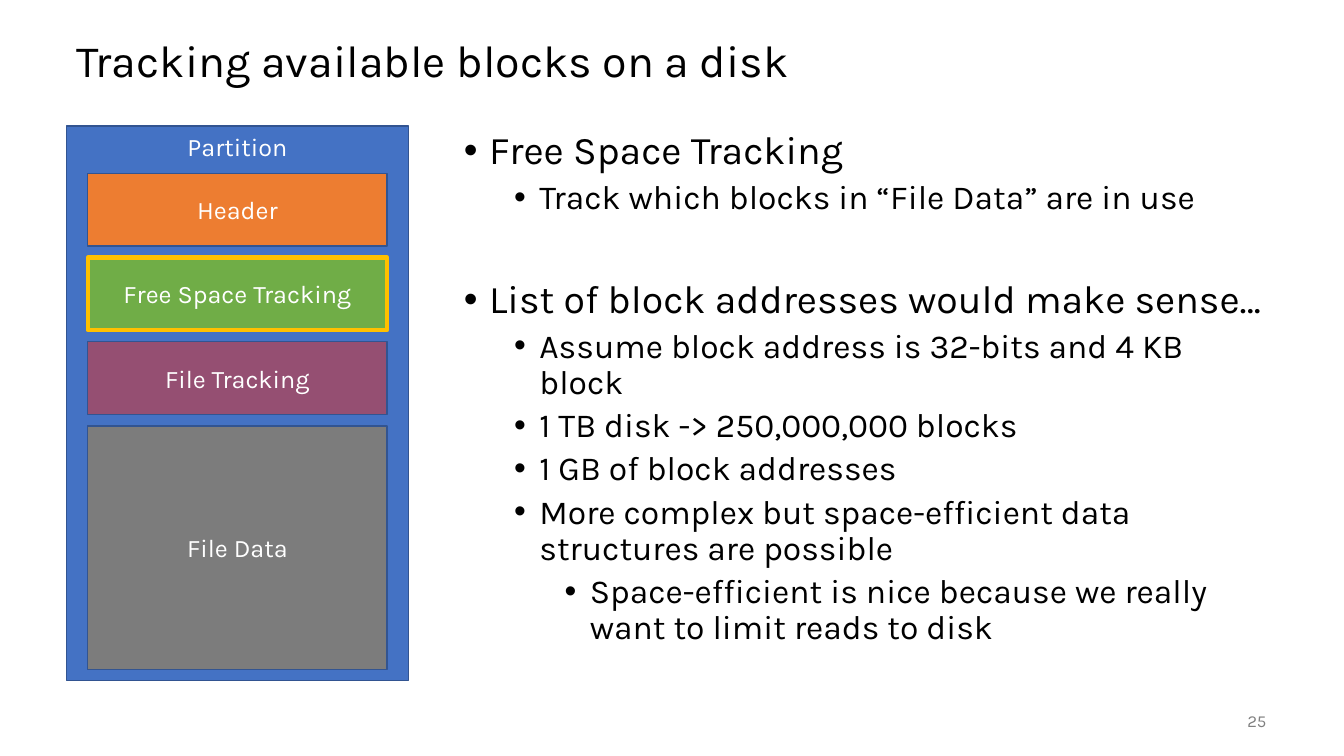
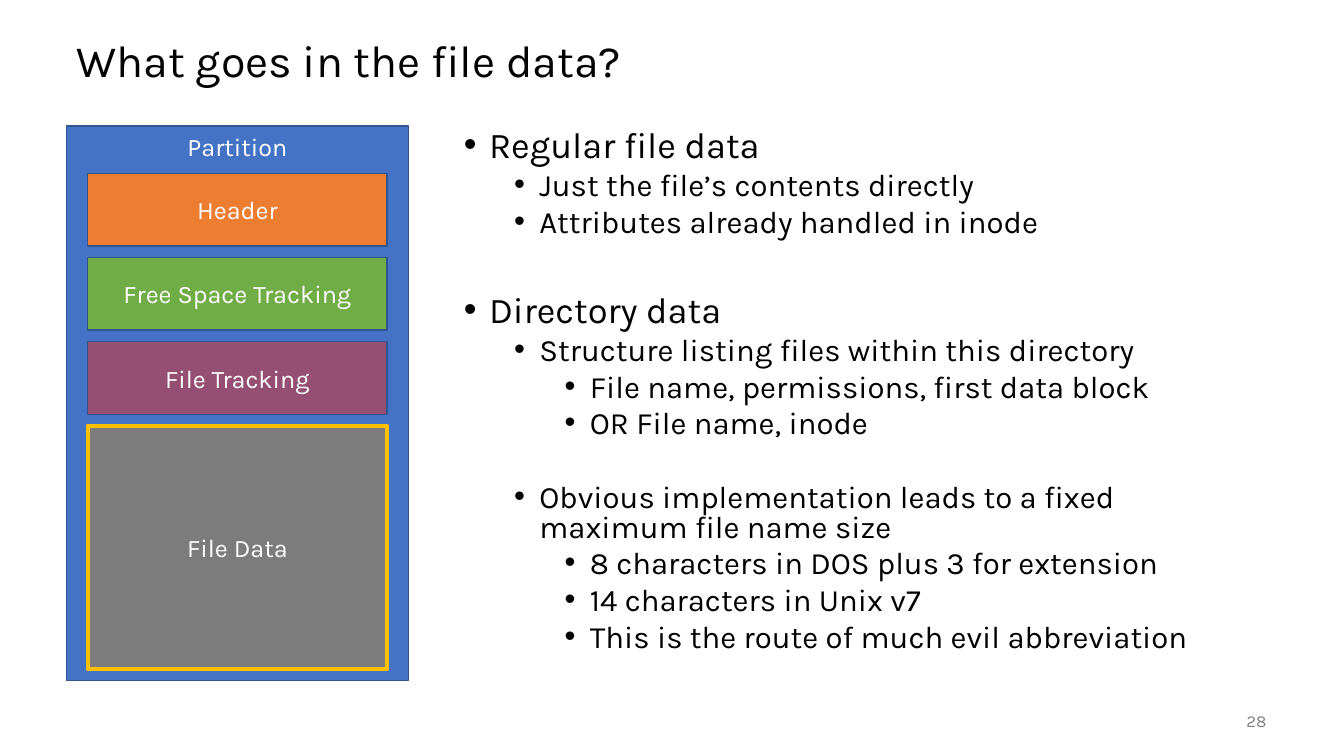
import pptx
import pptx.util
import pptx.dml.color
import pptx.enum.shapes
import pptx.enum.text
import pptx.oxml.ns
import lxml.etree
from dataclasses import dataclass

Pt = pptx.util.Pt
Inches = pptx.util.Inches
ALIGN = pptx.enum.text.PP_ALIGN
ANCHOR = pptx.enum.text.MSO_ANCHOR


@dataclass(frozen=True)
class Theme:
    font: str = "Karla"
    text: str = "000000"
    muted: str = "808080"
    light: str = "FFFFFF"
    partition: str = "4472C4"
    outline: str = "325491"
    highlight: str = "FFC000"
    title_size: float = 32
    label_size: float = 18
    number_size: float = 12


THEME = Theme()

# Grid: one-inch columns from the left margin, quarter-inch rows from the top
MARGIN, COL, ROW = 0.66, 1, 0.25
TOP, DEPTH = 5, 22
PARTITION_COLS, BODY_COL = 3.39, 3.84

# Partition layout: side padding in columns, heights and gaps in rows
PAD, CAPTION, BLOCK, GAP, FOOT = 0.21, 1.88, 2.88, 0.46, 0.44
BLOCKS = [
    ("Header", "ED7D31"),
    ("Free Space Tracking", "70AD47"),
    ("File Tracking", "954F72"),
    ("File Data", "7C7C7C"),
]


def color(value):
    return pptx.dml.color.RGBColor.from_string(value)


def apply(target, values):
    for name, value in values.items():
        setattr(target, name, value)


def grid(col, row, cols, rows):
    """Turn a grid area into left, top, width and height."""
    return [Inches(v) for v in
            (MARGIN + col * COL, row * ROW, cols * COL, rows * ROW)]


class Deck:
    def __init__(self, theme):
        self.theme = theme
        self.prs = pptx.Presentation()
        apply(self.prs, {"slide_width": Inches(13.33),
                         "slide_height": Inches(7.5)})
        self.s = None

    def new_slide(self, title, number):
        self.s = self.prs.slides.add_slide(self.prs.slide_layouts[1])
        self.title(title)
        self.number(number)

    def place(self, sp, area, anchor):
        apply(sp, dict(zip(("left", "top", "width", "height"), grid(*area))))
        apply(sp.text_frame, {
            "word_wrap": True, "vertical_anchor": anchor,
            "auto_size": pptx.enum.text.MSO_AUTO_SIZE.NONE})
        return sp.text_frame

    def add_text(self, p, text, size, ink, **layout):
        apply(p, layout)
        r = p.add_run()
        r.text = text
        apply(r.font, {"name": self.theme.font, "size": Pt(size)})
        r.font.color.rgb = color(ink)

    def title(self, text):
        tf = self.place(self.s.shapes.title, (0, 1, 12, 3), ANCHOR.MIDDLE)
        self.add_text(tf.paragraphs[0], text, self.theme.title_size,
                      self.theme.text, alignment=ALIGN.LEFT, line_spacing=0.9)

    def number(self, number):
        area = (11, 27.8, 1, 1.6)
        sp = self.s.shapes.add_textbox(*grid(*area))
        tf = self.place(sp, area, ANCHOR.MIDDLE)
        self.add_text(tf.paragraphs[0], str(number), self.theme.number_size,
                      self.theme.muted, alignment=ALIGN.RIGHT)

    def bullet(self, p, level):
        pPr = p._p.get_or_add_pPr()
        pPr.set("marL", str(Inches(0.25 + 0.5 * level)))
        pPr.set("indent", str(Inches(-0.25)))
        for tag, key, value in (("a:buFont", "typeface", "Arial"),
                                ("a:buChar", "char", "•")):
            lxml.etree.SubElement(pPr, pptx.oxml.ns.qn(tag)).set(key, value)

    def bullets(self, items, sizes, spacing, section_gap):
        """Items are (level, text); a third value True opens a new section."""
        tf = self.place(self.s.placeholders[1],
                        (BODY_COL, TOP, 12 - BODY_COL, DEPTH), ANCHOR.TOP)
        for i, (level, text, *section) in enumerate(items):
            p = tf.paragraphs[0] if i == 0 else tf.add_paragraph()
            self.bullet(p, level)
            before = (5 if level else 14) + (section_gap if section else 0)
            self.add_text(p, text, sizes[min(level, 1)], self.theme.text,
                          level=level, alignment=ALIGN.LEFT,
                          line_spacing=spacing, space_after=Pt(0),
                          space_before=Pt(before if i else 0))

    def box(self, group, text, area, fill, anchor=ANCHOR.MIDDLE, marked=False):
        sp = group.shapes.add_shape(
            pptx.enum.shapes.MSO_SHAPE.RECTANGLE, *grid(*area))
        sp.shadow.inherit = False
        sp.fill.solid()
        sp.fill.fore_color.rgb = color(fill)
        sp.line.color.rgb = color(
            self.theme.highlight if marked else self.theme.outline)
        sp.line.width = Pt(3 if marked else 1)
        tf = self.place(sp, area, anchor)
        self.add_text(tf.paragraphs[0], text, self.theme.label_size,
                      self.theme.light, alignment=ALIGN.CENTER)

    def partition(self, marked):
        group = self.s.shapes.add_group_shape()
        self.box(group, "Partition", (0, TOP, PARTITION_COLS, DEPTH),
                 self.theme.partition, ANCHOR.TOP)
        row = TOP + CAPTION
        for name, fill in BLOCKS:
            # The last block takes all the remaining height
            last = name == BLOCKS[-1][0]
            rows = TOP + DEPTH - FOOT - row if last else BLOCK
            self.box(group, name, (PAD, row, PARTITION_COLS - 2 * PAD, rows),
                     fill, marked=name == marked)
            row += rows + GAP


def main():
    deck = Deck(THEME)

    # Free space
    deck.new_slide("Tracking available blocks on a disk", 25)
    deck.bullets([
        (0, "Free Space Tracking"),
        (1, "Track which blocks in “File Data” are in use"),
        (0, "List of block addresses would make sense…", True),
        (1, "Assume block address is 32-bits and 4 KB block"),
        (1, "1 TB disk -> 250,000,000 blocks"),
        (1, "1 GB of block addresses"),
        (1, "More complex but space-efficient data structures are possible"),
        (2, "Space-efficient is nice because we really want to limit reads "
            "to disk"),
    ], sizes=(28, 24), spacing=0.9, section_gap=31)
    deck.partition("Free Space Tracking")

    # File data
    deck.new_slide("What goes in the file data?", 28)
    deck.bullets([
        (0, "Regular file data"),
        (1, "Just the file’s contents directly"),
        (1, "Attributes already handled in inode"),
        (0, "Directory data", True),
        (1, "Structure listing files within this directory"),
        (2, "File name, permissions, first data block"),
        (2, "OR File name, inode"),
        (1, "Obvious implementation leads to a fixed maximum file name size",
         True),
        (2, "8 characters in DOS plus 3 for extension"),
        (2, "14 characters in Unix v7"),
        (2, "This is the route of much evil abbreviation"),
    ], sizes=(25.9, 22.2), spacing=0.8, section_gap=26)
    deck.partition("File Data")

    deck.prs.save("out.pptx")


if __name__ == "__main__":
    main()
